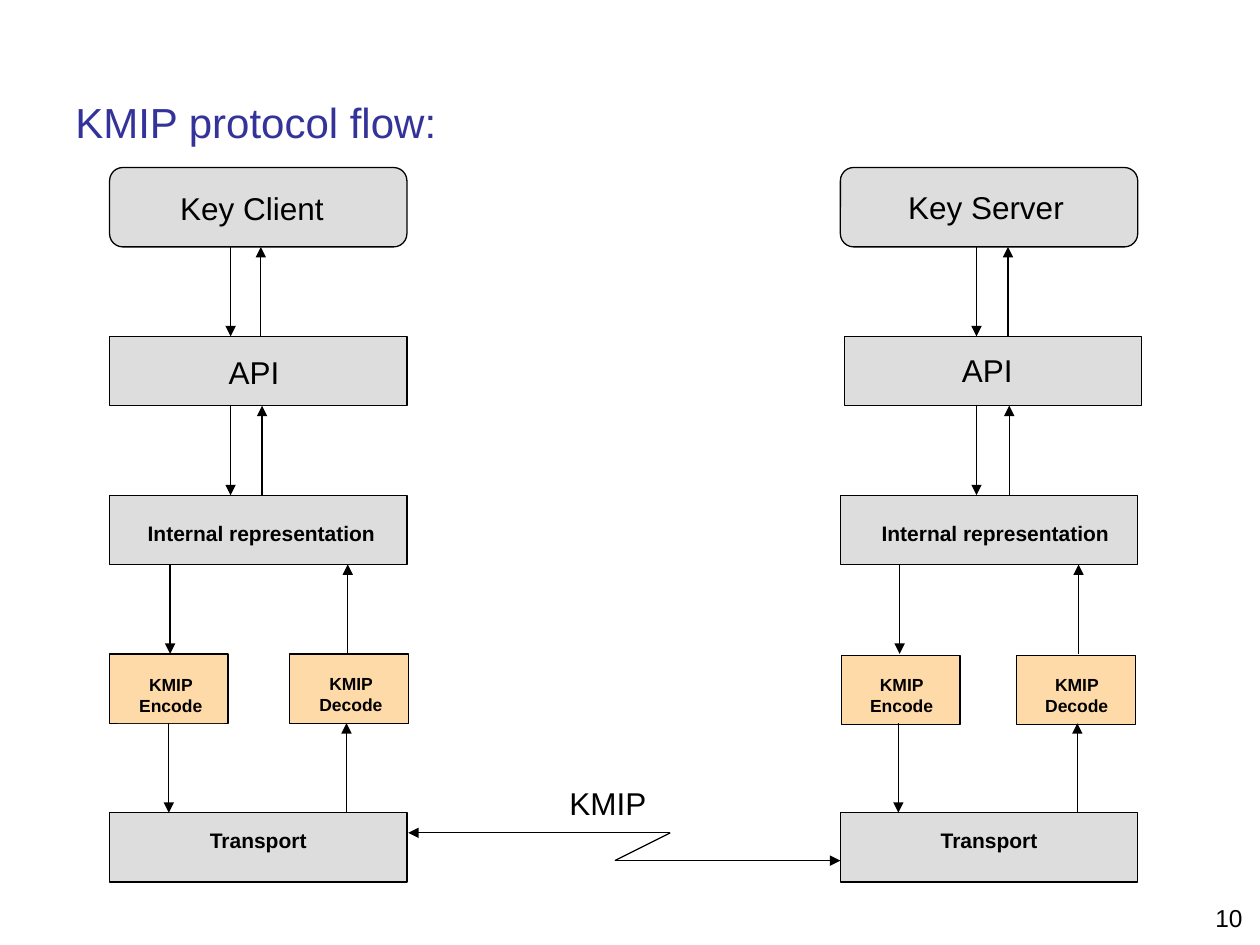
from dataclasses import dataclass

from lxml import etree
from pptx import Presentation
from pptx.dml.color import RGBColor
from pptx.enum.shapes import MSO_CONNECTOR, MSO_SHAPE
from pptx.enum.text import MSO_ANCHOR, PP_ALIGN
from pptx.oxml.ns import qn
from pptx.util import Inches, Pt

RECT = MSO_SHAPE.RECTANGLE
ROUND = MSO_SHAPE.FLOWCHART_ALTERNATE_PROCESS
LINE = MSO_CONNECTOR.STRAIGHT
LEFT, MID, RIGHT = PP_ALIGN.LEFT, PP_ALIGN.CENTER, PP_ALIGN.RIGHT
TOP, HALF = MSO_ANCHOR.TOP, MSO_ANCHOR.MIDDLE

BLACK, GREY, PEACH, NAVY = "000000", "DDDDDD", "FFDAA9", "333399"
START, STEP, GAP = 1.96, 1.26, 0.71  # first row of arrows, row pitch, arrow length


@dataclass
class Style:
    wide: float
    high: float
    size: int
    label: float  # label height
    bold: bool = True
    fill: str = GREY
    kind: MSO_SHAPE = RECT
    plain: bool = False  # label without a fill of its own


@dataclass
class Node:
    text: str
    style: Style
    left: float
    top: float
    inner: tuple[float, float, float]  # label left, top, width


HEAD = Style(2.36, 0.63, 18, 0.4, bold=False, kind=ROUND)
API = Style(2.36, 0.55, 18, 0.4, bold=False)
BODY = Style(2.36, 0.55, 12, 0.3)
CODEC = Style(0.94, 0.55, 10, 0.44, fill=PEACH)
BASE = Style(2.36, 0.55, 12, 0.3, plain=True)

NODES = [
    Node("Key Client", HEAD, 0.87, 1.33, (1, 1.45, 2)),
    Node("API", API, 0.87, 2.67, (0.89, 2.75, 2.25)),
    Node("Internal representation", BODY, 0.87, 3.93, (1, 4.08, 2.15)),
    Node("KMIP Encode", CODEC, 0.87, 5.19, (0.93, 5.3, 0.85)),
    Node("KMIP Decode", CODEC, 2.3, 5.19, (2.36, 5.29, 0.85)),
    Node("Transport", BASE, 0.87, 6.45, (0.87, 6.52, 2.36)),
    Node("Key Server", HEAD, 6.67, 1.33, (6.73, 1.44, 2.19)),
    Node("API", API, 6.7, 2.67, (6.71, 2.74, 2.25)),
    Node("Internal representation", BODY, 6.67, 3.93, (6.83, 4.08, 2.14)),
    Node("KMIP Encode", CODEC, 6.68, 5.2, (6.73, 5.3, 0.85)),
    Node("KMIP Decode", CODEC, 8.07, 5.2, (8.12, 5.3, 0.85)),
    Node("Transport", BASE, 6.67, 6.45, (6.67, 6.52, 2.36)),
]

# For each side, the (down, up) arrow positions of each row
LANES = [
    [(1.83, 2.07), (1.83, 2.08), (1.35, 2.76), (1.34, 2.75)],
    [(7.75, 8), (7.75, 8.01), (7.14, 8.56), (7.13, 8.55)],
]


def color(code: str) -> RGBColor:
    return RGBColor.from_string(code)


def block(slide, kind, left, top, wide, high, fill, edge=True):
    shape = slide.shapes.add_shape(
        kind, Inches(left), Inches(top), Inches(wide), Inches(high))
    shape.shadow.inherit = False
    shape.fill.solid()
    shape.fill.fore_color.rgb = color(fill)
    if edge:
        shape.line.color.rgb = color(BLACK)
        shape.line.width = Pt(0.75)
    else:
        shape.line.fill.background()
    return shape


def write(slide, text, left, top, wide, high, *, size=18, ink=BLACK, bold=False,
          align=LEFT, anchor=TOP, space=None, fill=None):
    """Add text in a plain box, or in a borderless block when fill is given."""
    if fill:
        shape = block(slide, RECT, left, top, wide, high, fill, edge=False)
    else:
        shape = slide.shapes.add_textbox(
            Inches(left), Inches(top), Inches(wide), Inches(high))
    frame = shape.text_frame
    frame.word_wrap = True
    frame.vertical_anchor = anchor
    para = frame.paragraphs[0]
    para.alignment = align
    para.line_spacing = space
    run = para.add_run()
    run.text = text
    run.font.name = "Arial"
    run.font.size = Pt(size)
    run.font.bold = bold
    run.font.color.rgb = color(ink)


def draw(slide, node: Node) -> None:
    style = node.style
    block(slide, style.kind, node.left, node.top, style.wide, style.high, style.fill)
    left, top, wide = node.inner
    write(slide, node.text, left, top, wide, style.label, size=style.size,
          bold=style.bold, align=MID, fill=None if style.plain else style.fill)


def link(slide, x1: float, y1: float, x2: float, y2: float, tip: bool = True) -> None:
    wire = slide.shapes.add_connector(
        LINE, Inches(x1), Inches(y1), Inches(x2), Inches(y2))
    wire.line.color.rgb = color(BLACK)
    wire.line.width = Pt(0.75)
    if tip:
        etree.SubElement(wire.line._get_or_add_ln(), qn("a:tailEnd"), type="triangle")
    etree.SubElement(wire._element.spPr, qn("a:effectLst"))


def main() -> None:
    deck = Presentation()
    deck.slide_width, deck.slide_height = Inches(10), Inches(7.5)
    slide = deck.slides.add_slide(deck.slide_layouts[6])

    write(slide, "10", 9.45, 7.13, 0.51, 0.3, size=14, align=RIGHT, anchor=HALF)
    write(slide, "KMIP protocol flow:", 0.5, 0.5, 7.83, 1, size=24, ink=NAVY,
          anchor=HALF, space=0.8)

    for node in NODES:
        draw(slide, node)
    for lane in LANES:
        for row, (down, up) in enumerate(lane):
            top = START + row * STEP
            link(slide, down, top, down, top + GAP)
            link(slide, up, top + GAP, up, top)

    link(slide, 4.88, 6.83, 6.67, 6.83)
    link(slide, 5.32, 6.61, 3.24, 6.61)
    link(slide, 4.88, 6.83, 5.32, 6.61, tip=False)
    write(slide, "KMIP", 4.42, 6.17, 1.42, 0.4)

    deck.save("out.pptx")


if __name__ == "__main__":
    main()
